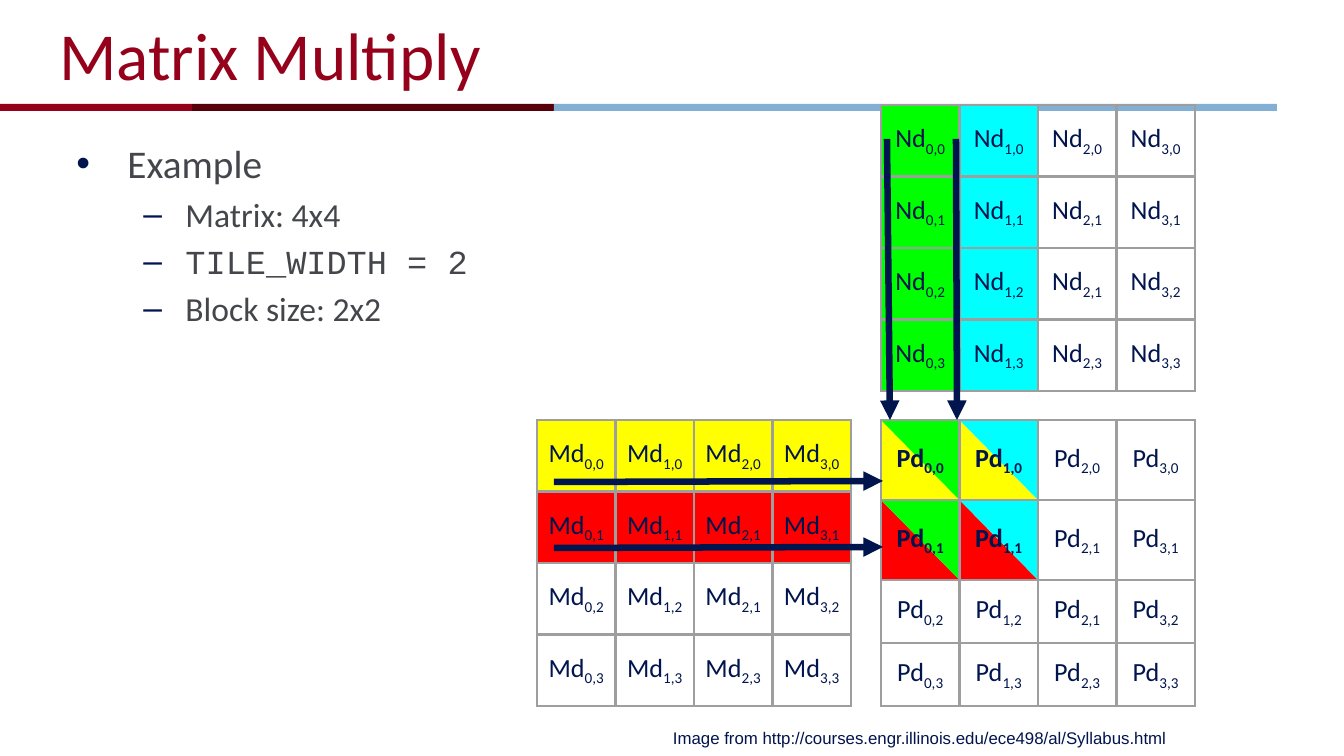
from dataclasses import dataclass

from lxml.etree import SubElement
from pptx import Presentation
from pptx.dml.color import RGBColor
from pptx.enum.shapes import MSO_CONNECTOR, MSO_SHAPE
from pptx.enum.text import MSO_ANCHOR, MSO_AUTO_SIZE, PP_ALIGN
from pptx.oxml.ns import qn
from pptx.util import Emu, Pt


@dataclass(frozen=True)
class Theme:
    """Colours, fonts and type sizes of the slide."""
    crimson: str = "95001A"
    maroon: str = "57000A"
    sky: str = "82AFD3"
    navy: str = "00144D"
    grey: str = "44464B"
    border: str = "9E9E9E"
    yellow: str = "FFFF00"
    red: str = "FF0000"
    green: str = "00FF00"
    cyan: str = "00FFFF"
    body_font: str = "Calibri"
    code_font: str = "Courier New"
    credit_font: str = "Arial"
    title_size: float = 36
    topic_size: float = 21
    detail_size: float = 18
    cell_size: float = 14
    credit_size: float = 9
    border_width: float = 1.5
    arrow_width: float = 3.5


THEME = Theme()
EMU_PER_PX = 914400 / 134.4
GRID = 4
ROW_COLOURS = (THEME.yellow, THEME.red)
COLUMN_COLOURS = (THEME.green, THEME.cyan)


def px(length):
    """Turn pixels into EMU."""
    return Emu(round(length * EMU_PER_PX))


def place(shape, box):
    """Move a shape to a box of left, top, width and height."""
    shape.left, shape.top, shape.width, shape.height = map(px, box)


def add_run(paragraph, text, size, colour, font=THEME.body_font, bold=False):
    """Append a formatted run to a paragraph."""
    run = paragraph.add_run()
    run.text = text
    run.font.size = Pt(size)
    run.font.name = font
    run.font.bold = bold
    run.font.color.rgb = RGBColor.from_string(colour)
    return run


def add_block(slide, preset, box, colour, rotation=0):
    """Add a filled preset shape without outline or shadow."""
    shape = slide.shapes.add_shape(preset, *map(px, box))
    shape.shadow.inherit = False
    shape.fill.solid()
    shape.fill.fore_color.rgb = RGBColor.from_string(colour)
    shape.line.fill.background()
    shape.rotation = rotation


def add_rule(slide, box):
    """Draw the three-colour rule under the title."""
    left, top, width, height = box
    stops = (0, 192, 554, width)
    colours = (THEME.crimson, THEME.maroon, THEME.sky)
    for start, end, colour in zip(stops, stops[1:], colours):
        add_block(slide, MSO_SHAPE.RECTANGLE, (left + start, top, end - start, height), colour)


def fill_title(slide, box):
    """Write the title."""
    title = slide.shapes.title
    place(title, box)
    frame = title.text_frame
    frame.auto_size = MSO_AUTO_SIZE.NONE
    frame.vertical_anchor = MSO_ANCHOR.MIDDLE
    frame.paragraphs[0].alignment = PP_ALIGN.LEFT
    add_run(frame.paragraphs[0], "Matrix Multiply", THEME.title_size, THEME.crimson)


def add_bullet(paragraph, symbol, margin, hang):
    """Give a paragraph a hanging navy bullet."""
    properties = paragraph._p.get_or_add_pPr()
    properties.set("marL", str(px(margin)))
    properties.set("indent", str(-px(hang)))
    colour = SubElement(properties, qn("a:buClr"))
    SubElement(colour, qn("a:srgbClr"), val=THEME.navy)
    SubElement(properties, qn("a:buFont"), typeface=THEME.credit_font)
    SubElement(properties, qn("a:buChar"), char=symbol)


def fill_body(slide, box):
    """Write the bulleted example."""
    body = slide.placeholders[1]
    place(body, box)
    frame = body.text_frame
    frame.auto_size = MSO_AUTO_SIZE.NONE
    topic = frame.paragraphs[0]
    topic.space_before = Pt(0)
    add_bullet(topic, "•", 51, 51)
    add_run(topic, "Example", THEME.topic_size, THEME.grey)
    details = (("Matrix: 4x4", THEME.body_font),
               ("TILE_WIDTH = 2", THEME.code_font),
               ("Block size: 2x2", THEME.body_font))
    for text, font in details:
        paragraph = frame.add_paragraph()
        paragraph.level = 1
        add_bullet(paragraph, "–", 109, 42)
        add_run(paragraph, text, THEME.detail_size, THEME.grey, font)


def format_cell(cell, name, index, colour, bold):
    """Border, fill and label one matrix cell."""
    properties = cell._tc.get_or_add_tcPr()
    for side in ("lnL", "lnR", "lnT", "lnB"):
        line = SubElement(properties, qn(f"a:{side}"), w=str(Pt(THEME.border_width)))
        SubElement(SubElement(line, qn("a:solidFill")), qn("a:srgbClr"), val=THEME.border)
    if colour:
        cell.fill.solid()
        cell.fill.fore_color.rgb = RGBColor.from_string(colour)
    else:
        cell.fill.background()
    cell.margin_left = cell.margin_right = cell.margin_top = cell.margin_bottom = px(10)
    cell.vertical_anchor = MSO_ANCHOR.MIDDLE
    paragraph = cell.text_frame.paragraphs[0]
    paragraph.alignment = PP_ALIGN.CENTER
    add_run(paragraph, name, THEME.cell_size, THEME.navy, bold=bold)
    subscript = add_run(paragraph, index, THEME.cell_size, THEME.navy, bold=bold)
    subscript._r.get_or_add_rPr().set("baseline", "-25000")


def add_matrix(slide, box, name, row_heights=None, row_colours=(), column_colours=(), bold_tile=0):
    """Add a matrix table whose leading rows or columns are coloured."""
    table = slide.shapes.add_table(GRID, GRID, *map(px, box)).table
    table.first_row = table.horz_banding = False
    for row, height in zip(table.rows, row_heights or ()):
        row.height = px(height)
    row_fills = dict(enumerate(row_colours))
    column_fills = dict(enumerate(column_colours))
    for row in range(GRID):
        for column in range(GRID):
            index = "2,1" if (column, row) == (2, 2) else f"{column},{row}"
            colour = row_fills.get(row) or column_fills.get(column)
            format_cell(table.cell(row, column), name, index, colour, max(row, column) < bold_tile)


def add_tile(slide, box):
    """Split each cell of the 2x2 block into its row and column colours."""
    left, top, width, height = box
    for row, row_colour in enumerate(ROW_COLOURS):
        for column, column_colour in enumerate(COLUMN_COLOURS):
            cell = (left + column * width / 2, top + row * height / 2, width / 2, height / 2)
            add_block(slide, MSO_SHAPE.RIGHT_TRIANGLE, cell, row_colour)
            add_block(slide, MSO_SHAPE.RIGHT_TRIANGLE, cell, column_colour, 180)


def add_arrow(slide, start, end):
    """Add a thick navy arrow."""
    arrow = slide.shapes.add_connector(MSO_CONNECTOR.STRAIGHT, *map(px, start + end))
    arrow.line.width = Pt(THEME.arrow_width)
    arrow.line.color.rgb = RGBColor.from_string(THEME.navy)
    SubElement(arrow.line._get_or_add_ln(), qn("a:tailEnd"), type="triangle")
    SubElement(arrow._element.spPr, qn("a:effectLst"))


def add_diagram(slide, box):
    """Draw the factor matrices, the product and the arrows into it."""
    left, top, width, height = box
    side, matrix_height = 314, 286
    right, lower = left + width - side, top + height - matrix_height
    add_tile(slide, (right, lower, side / 2, 160))
    add_matrix(slide, (right, lower, side, matrix_height), "Pd", (80, 80, 63, 63), bold_tile=2)
    add_matrix(slide, (right, top, side, matrix_height), "Nd", column_colours=COLUMN_COLOURS)
    add_matrix(slide, (left, lower, side, matrix_height), "Md", row_colours=ROW_COLOURS)
    for start, end in ((6, 9), (75, 76)):
        add_arrow(slide, (right + start, top + 34), (right + end, lower))
    for offset in (62, 128):
        add_arrow(slide, (left + 17, lower + offset), (right + 2, lower + offset - 1))


def add_credit(slide, box):
    """Write the source line at the foot."""
    frame = slide.shapes.add_textbox(*map(px, box)).text_frame
    frame.word_wrap = True
    frame.margin_left = frame.margin_right = px(10)
    frame.margin_top = frame.margin_bottom = px(5)
    paragraph = frame.paragraphs[0]
    paragraph.alignment = PP_ALIGN.RIGHT
    add_run(paragraph, "Image from http://courses.engr.illinois.edu/ece498/al/Syllabus.html",
            THEME.credit_size, THEME.navy, THEME.credit_font)


def main():
    """Build and save the slide."""
    presentation = Presentation()
    presentation.slide_width, presentation.slide_height = px(1344), px(756)
    slide = presentation.slides.add_slide(presentation.slide_layouts[1])
    add_rule(slide, (0, 104, 1277, 7))
    fill_title(slide, (46, 3, 1210, 102))
    fill_body(slide, (63, 133, 1210, 543))
    add_diagram(slide, (537, 105, 658, 601))
    add_credit(slide, (168, 723, 1008, 31))
    presentation.save("out.pptx")


if __name__ == "__main__":
    main()
